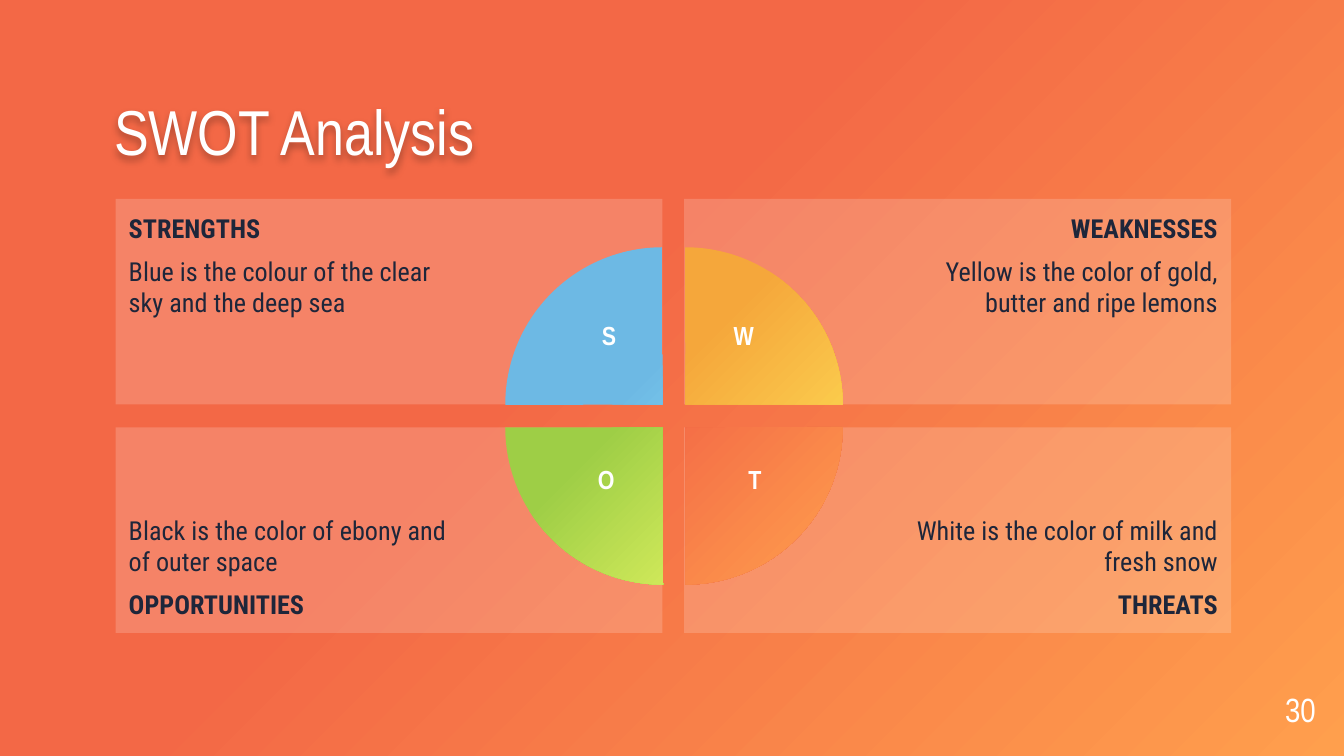
from lxml.etree import SubElement
from pptx import Presentation
from pptx.dml.color import RGBColor
from pptx.enum.shapes import MSO_SHAPE
from pptx.enum.text import MSO_ANCHOR, PP_ALIGN
from pptx.oxml import parse_xml
from pptx.oxml.ns import nsdecls, qn
from pptx.util import Inches, Pt


def radial(fill, root, inner, outer):
    """Give a fill a round gradient that spreads from the bottom right."""
    fill.gradient()
    grad = next(root.iter(qn("a:gradFill")))
    grad.getparent().replace(grad, parse_xml(
        f'<a:gradFill {nsdecls("a")} rotWithShape="0"><a:gsLst>'
        f'<a:gs pos="0"><a:srgbClr val="{inner}"/></a:gs>'
        f'<a:gs pos="58000"><a:srgbClr val="{outer}"/></a:gs>'
        f'<a:gs pos="100000"><a:srgbClr val="{outer}"/></a:gs></a:gsLst>'
        '<a:path path="circle"><a:fillToRect l="100000" t="100000"/></a:path>'
        '</a:gradFill>'))


def add_run(para, text, size, color="FFFFFF", face="Arial Narrow", bold=False):
    run = para.add_run()
    run.text = text
    font = run.font
    font.size, font.name, font.bold = Pt(size), face, bold
    font.color.rgb = RGBColor.from_string(color)


prs = Presentation()
prs.slide_width = Inches(10)
prs.slide_height = prs.slide_width * 9 // 16
slide = prs.slides.add_slide(prs.slide_layouts[5])
shapes = slide.shapes
radial(slide.background.fill, slide.element, "FF9F4D", "F36846")

# Title and page number
title = shapes.title
title.left, title.top = Inches(0.85), Inches(0.83)
title.width, title.height = Inches(8.3), Inches(0.43)
page = shapes.add_textbox(Inches(9.19), Inches(5.08), Inches(0.6), Inches(0.35))
for box, text, size, align in [(title, "SWOT Analysis", 34, PP_ALIGN.LEFT),
                               (page, "30", 18, PP_ALIGN.RIGHT)]:
    frame = box.text_frame
    frame.word_wrap = True
    frame.vertical_anchor = MSO_ANCHOR.BOTTOM
    frame.margin_left = frame.margin_right = 0
    frame.margin_top = frame.margin_bottom = 0
    para = frame.paragraphs[0]
    para.alignment, para.line_spacing = align, 0.9
    add_run(para, text, size)

# With no fill behind it, the title's shadow falls from its letters
title.fill.background()
title.element.spPr.append(parse_xml(
    f'<a:effectLst {nsdecls("a")}><a:outerShdw blurRad="50800" dist="25400" '
    'dir="5400000"><a:srgbClr val="000000"><a:alpha val="30000"/></a:srgbClr>'
    '</a:outerShdw></a:effectLst>'))

# Panels: column, row, heading, text
panels = [
    (0, 0, "STRENGTHS", "Blue is the colour of the clear sky and the deep sea"),
    (1, 0, "WEAKNESSES", "Yellow is the color of gold, butter and ripe lemons"),
    (0, 1, "OPPORTUNITIES", "Black is the color of ebony and of outer space"),
    (1, 1, "THREATS", "White is the color of milk and fresh snow"),
]
for col, row, head, text in panels:
    panel = shapes.add_shape(
        MSO_SHAPE.RECTANGLE, Inches(0.86 + 4.23 * col), Inches(1.48 + 1.7 * row),
        Inches(4.07), Inches(1.53))
    panel.shadow.inherit = False
    panel.line.fill.background()
    panel.fill.solid()
    panel.fill.fore_color.rgb = RGBColor.from_string("FFFFFF")
    tint = next(panel.element.spPr.iter(qn("a:srgbClr")))
    SubElement(tint, qn("a:alpha")).set("val", "18000")

    frame = panel.text_frame
    frame.word_wrap = True
    frame.vertical_anchor = MSO_ANCHOR.BOTTOM if row else MSO_ANCHOR.TOP
    frame.margin_left = Inches(1.5 if col else 0.1)
    frame.margin_right = Inches(0.1 if col else 1.5)
    frame.margin_top = frame.margin_bottom = Inches(0.1)
    first, last = frame.paragraphs[0], frame.add_paragraph()
    last.space_before = last.space_after = Pt(6)
    for para in (first, last):
        para.alignment = PP_ALIGN.RIGHT if col else PP_ALIGN.LEFT
    # The heading sits on the outer edge, so the lower row ends with it
    top, low = (last, first) if row else (first, last)
    add_run(top, head, 14, "1E263A", "Roboto Condensed", True)
    add_run(low, text, 14, "1E263A", "Roboto Condensed")

# Quarter circles, clockwise from the top left
quarters = [
    (0, 0, "9FFAFF", "6DB9E4"),
    (1, 0, "FFE659", "F5A73B"),
    (1, 1, "FF9F4D", "F36846"),
    (0, 1, "F4FC68", "9ECE46"),
]
for turn, (col, row, inner, outer) in enumerate(quarters):
    pie = shapes.add_shape(
        MSO_SHAPE.PIE, Inches(3.76 + 0.17 * col), Inches(1.84 + 0.17 * row),
        Inches(2.34), Inches(2.34))
    pie.adjustments[0], pie.adjustments[1] = 107.89, 162
    pie.rotation = 90 * turn
    pie.shadow.inherit = False
    pie.line.fill.background()
    radial(pie.fill, pie.element, inner, outer)

letters = [("S", 4.38, 2.33, 0.22), ("W", 5.36, 2.33, 0.34),
           ("O", 4.35, 3.4, 0.22), ("T", 5.47, 3.4, 0.23)]
for letter, left, top, width in letters:
    box = shapes.add_textbox(Inches(left), Inches(top), Inches(width), Inches(0.45))
    box.text_frame.word_wrap = True
    para = box.text_frame.paragraphs[0]
    para.alignment = PP_ALIGN.CENTER
    add_run(para, letter, 14, bold=True)

prs.save("out.pptx")
